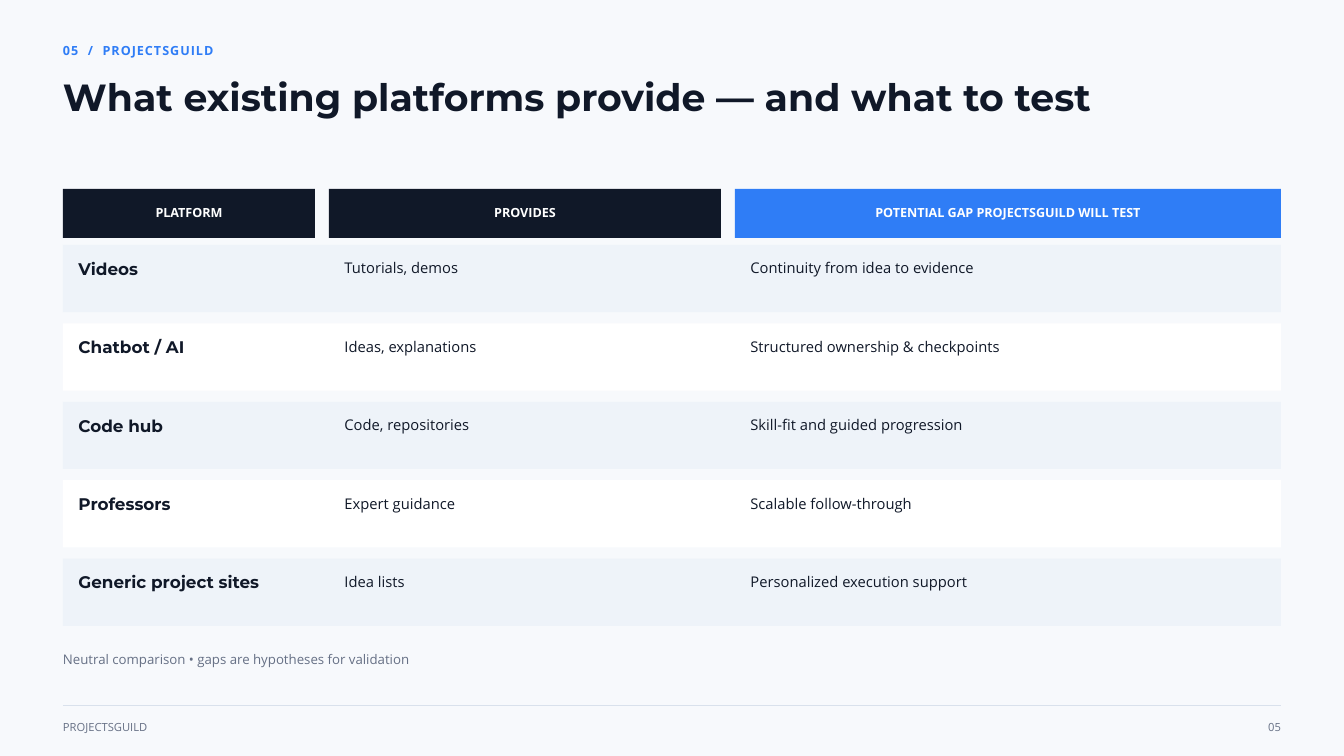
from lxml.etree import SubElement
from pptx import Presentation
from pptx.dml.color import RGBColor
from pptx.enum.shapes import MSO_CONNECTOR, MSO_SHAPE
from pptx.enum.text import MSO_ANCHOR, MSO_AUTO_SIZE, PP_ALIGN
from pptx.oxml.ns import qn
from pptx.util import Pt

# Content
KICKER = "05  /  PROJECTSGUILD"
TITLE = "What existing platforms provide — and what to test"
NOTE = "Neutral comparison • gaps are hypotheses for validation"
FOOTER, PAGE = "PROJECTSGUILD", "05"

INK, BLUE, GREY, WHITE = "101828", "2F7DF6", "667085", "FFFFFF"
PAPER, BAND, RULE = "F7F9FC", "EEF3F9", "D9E1EC"
HEADING, BODY = "Montserrat", "Open Sans"

# Column heading, width, fill
COLUMNS = [
    ("PLATFORM", 360, INK),
    ("PROVIDES", 560, INK),
    ("POTENTIAL GAP PROJECTSGUILD WILL TEST", 780, BLUE),
]
PLATFORMS = [
    ("Videos", "Tutorials, demos", "Continuity from idea to evidence"),
    ("Chatbot / AI", "Ideas, explanations", "Structured ownership & checkpoints"),
    ("Code hub", "Code, repositories", "Skill-fit and guided progression"),
    ("Professors", "Expert guidance", "Scalable follow-through"),
    ("Generic project sites", "Idea lists", "Personalized execution support"),
]

# Layout in px
LEFT, WIDTH = 90, 1740
COLUMN_GAP, PAD = 20, 22
HEADER_TOP, HEADER_HEIGHT = 270, 70
ROW_TOP, ROW_HEIGHT, ROW_PITCH = 350, 96, 112
FOOTER_RULE, FOOTER_TOP = 1008, 1027


def px(length):
    return length * 9525


def rgb(value):
    return RGBColor.from_string(value)


def write(frame, text, size, leading, color, font=BODY, bold=False,
          align=PP_ALIGN.LEFT, spacing=0):
    frame.word_wrap = True
    paragraph = frame.paragraphs[0]
    paragraph.alignment = align
    paragraph.line_spacing = Pt(leading)
    run = paragraph.add_run()
    run.text = text
    run.font.name = font
    run.font.size = Pt(size)
    run.font.bold = bold
    run.font.color.rgb = rgb(color)
    if spacing:
        run.font._element.set("spc", str(spacing))


def set_margins(frame, margin):
    frame.margin_left = frame.margin_right = px(margin)
    frame.margin_top = frame.margin_bottom = px(margin)


def add_label(slide, x, y, width, height, *text, **style):
    frame = slide.shapes.add_textbox(px(x), px(y), px(width), px(height)).text_frame
    set_margins(frame, 0)
    write(frame, *text, **style)
    frame.auto_size = MSO_AUTO_SIZE.SHAPE_TO_FIT_TEXT


def add_bar(slide, x, y, width, height, fill):
    bar = slide.shapes.add_shape(
        MSO_SHAPE.RECTANGLE, px(x), px(y), px(width), px(height))
    bar.shadow.inherit = False
    bar.fill.solid()
    bar.fill.fore_color.rgb = rgb(fill)
    bar.line.fill.background()
    return bar


def main():
    deck = Presentation()
    deck.slide_width, deck.slide_height = px(1920), px(1080)
    slide = deck.slides.add_slide(deck.slide_layouts[6])
    slide.background.fill.solid()
    slide.background.fill.fore_color.rgb = rgb(PAPER)

    # Kicker and title
    add_label(slide, LEFT, 58, 650, 24, KICKER, 13.5, 18.9, BLUE,
              bold=True, spacing=110)
    add_label(slide, LEFT, 113, 1500, 59, TITLE, 40.5, 42.5, INK,
              font=HEADING, bold=True)

    # Column headings
    column_lefts = []
    x = LEFT
    for heading, width, fill in COLUMNS:
        column_lefts.append(x)
        header = add_bar(slide, x, HEADER_TOP, width, HEADER_HEIGHT, fill)
        set_margins(header.text_frame, 6)
        header.text_frame.vertical_anchor = MSO_ANCHOR.MIDDLE
        write(header.text_frame, heading, 13.5, 14.8, WHITE,
              bold=True, align=PP_ALIGN.CENTER)
        x += width + COLUMN_GAP

    # Platform rows, banded
    for index, platform in enumerate(PLATFORMS):
        y = ROW_TOP + index * ROW_PITCH
        add_bar(slide, LEFT, y, WIDTH, ROW_HEIGHT, WHITE if index % 2 else BAND)
        for column, entry in enumerate(platform):
            x = column_lefts[column] + PAD
            width = COLUMNS[column][1] - 2 * PAD
            if column == 0:
                add_label(slide, x, y + 23, width, 26, entry, 18, 18.9, INK,
                          font=HEADING, bold=True)
            else:
                add_label(slide, x, y + 17, width, 28, entry, 15.8, 21.3, INK)

    # Note
    add_label(slide, LEFT, 929, 900, 23, NOTE, 14.2, 18.5, GREY)

    # Footer
    rule = slide.shapes.add_connector(
        MSO_CONNECTOR.STRAIGHT, px(LEFT), px(FOOTER_RULE),
        px(LEFT + WIDTH), px(FOOTER_RULE))
    rule.line.color.rgb = rgb(RULE)
    rule.line.width = Pt(0.75)
    SubElement(rule._element.spPr, qn("a:effectLst"))
    add_label(slide, LEFT, FOOTER_TOP, 300, 19, FOOTER, 12, 15.6, GREY)
    add_label(slide, LEFT + WIDTH - 70, FOOTER_TOP, 70, 19, PAGE, 12, 15.6, GREY,
              align=PP_ALIGN.RIGHT)

    deck.save("out.pptx")


if __name__ == "__main__":
    main()
